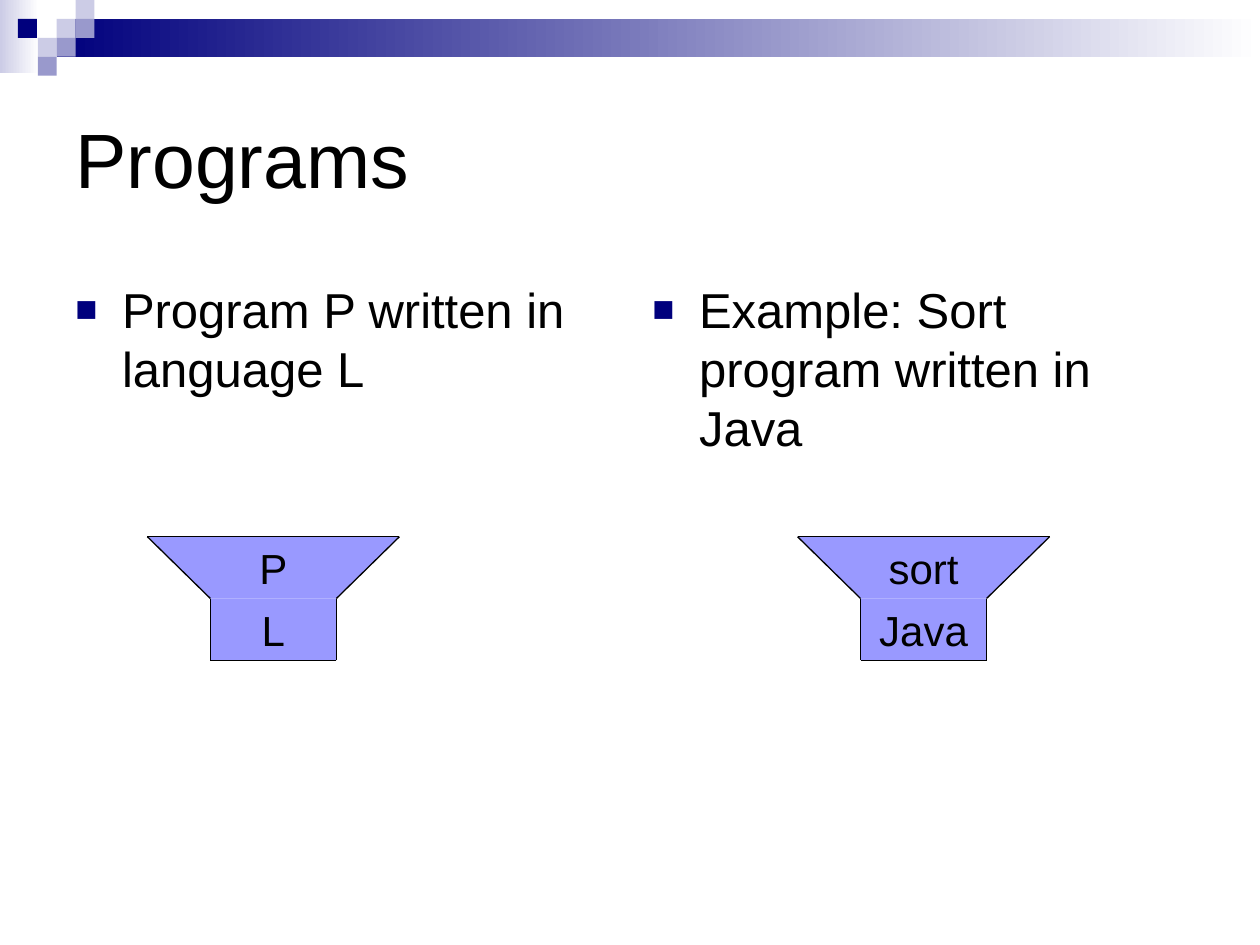
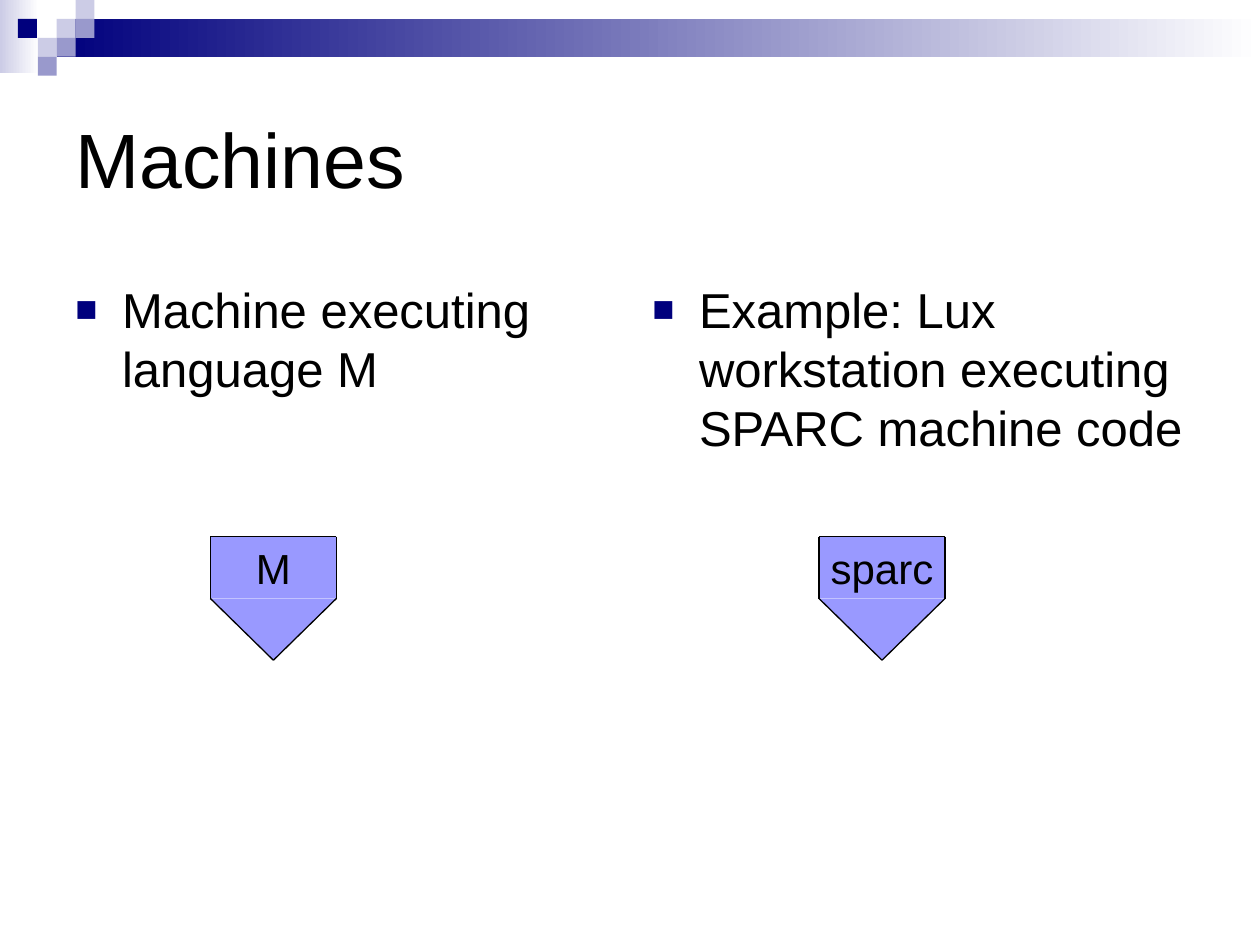
from itertools import pairwise

from lxml.etree import SubElement
from pptx import Presentation
from pptx.dml.color import RGBColor
from pptx.enum.shapes import MSO_CONNECTOR, MSO_SHAPE
from pptx.enum.text import MSO_ANCHOR, PP_ALIGN
from pptx.oxml.ns import qn
from pptx.util import Inches, Pt

FONT = "Arial"
COLORS = {
    "text": "000000",
    "navy": "00007D",
    "pale": "CCCCE6",
    "mid": "9999CC",
    "figure": "9999FF",
    "white": "FFFFFF",
}
TILE = 0.15
# column, row and colour of each header tile, on a grid of TILE
TILES = [
    (3, 1, "pale"), (4, 0, "pale"), (4, 1, "mid"), (2, 2, "pale"),
    (0.95, 1, "navy"), (3, 2, "mid"), (2, 3, "mid"),
]
TOP, HALF = 4.26, 0.49
MID, LOW = TOP + HALF, TOP + 2 * HALF


def color(name):
    return RGBColor.from_string(COLORS[name])


def add_block(shapes, left, top, width, height, fill, fade=False):
    """Add a rectangle without outline; fade runs from the fill to white."""
    block = shapes.add_shape(
        MSO_SHAPE.RECTANGLE, Inches(left), Inches(top), Inches(width), Inches(height))
    block.shadow.inherit = False
    block.line.fill.background()
    if fade:
        block.fill.gradient()
        block.fill.gradient_angle = 0
        for stop, name in zip(block.fill.gradient_stops, (fill, "white")):
            stop.color.rgb = color(name)
    else:
        block.fill.solid()
        block.fill.fore_color.rgb = color(fill)


def add_text(shapes, text, left, top, width, height, size, wrap=True):
    box = shapes.add_textbox(Inches(left), Inches(top), Inches(width), Inches(height))
    frame = box.text_frame
    frame.text = text
    frame.word_wrap = wrap
    font = frame.paragraphs[0].runs[0].font
    font.name, font.size, font.color.rgb = FONT, Pt(size), color("text")
    return frame


def add_header(slide):
    shapes = slide.shapes.add_group_shape().shapes
    add_block(shapes, 0, 0, 0.31, 0.58, "pale", fade=True)
    add_block(shapes, 0.45, TILE, 9.55, 2 * TILE, "navy", fade=True)
    for col, row, fill in TILES:
        add_block(shapes, col * TILE, row * TILE, TILE, TILE, fill)


def add_title(slide, text):
    frame = add_text(slide.shapes, text, 0.5, 0.5, 9, 1.5, 44)
    frame.vertical_anchor = MSO_ANCHOR.MIDDLE


def add_bullet(slide, text, left, width):
    para = add_text(slide.shapes, text, left, 2.17, width, 4.25, 28).paragraphs[0]
    para.space_before = Pt(6.9)
    props = para._p.get_or_add_pPr()
    props.set("marL", str(Inches(0.37)))
    props.set("indent", str(-Inches(0.37)))
    tint = SubElement(props, qn("a:buClr"))
    SubElement(tint, qn("a:srgbClr"), val=COLORS["navy"])
    SubElement(props, qn("a:buSzPct"), val="75000")
    SubElement(props, qn("a:buFont"), typeface=FONT)
    SubElement(props, qn("a:buChar"), char="■")


def add_label(shapes, text, left, top):
    """Centre one line on a box of width 1, with a little room at each side."""
    frame = add_text(shapes, text, left - 0.1, top, 1.2, HALF, 24, wrap=False)
    frame.vertical_anchor = MSO_ANCHOR.MIDDLE
    frame.paragraphs[0].alignment = PP_ALIGN.CENTER


def add_area(shapes, points):
    start, *rest = [(Inches(x), Inches(y)) for x, y in points]
    pen = shapes.build_freeform(*start)
    pen.add_line_segments(rest, close=True)
    area = pen.convert_to_shape()
    area.shadow.inherit = False
    area.line.fill.background()
    area.fill.solid()
    area.fill.fore_color.rgb = color("figure")


def add_outline(shapes, points):
    for (x1, y1), (x2, y2) in pairwise(points + points[:1]):
        edge = shapes.add_connector(
            MSO_CONNECTOR.STRAIGHT, Inches(x1), Inches(y1), Inches(x2), Inches(y2))
        edge.line.color.rgb = color("text")
        edge.line.width = Pt(0.75)
        SubElement(edge._element.spPr, qn("a:effectLst"))


def add_program(slide, left, name, lang):
    """Draw a funnel: the program name above the language it is written in."""
    shapes = slide.shapes.add_group_shape().shapes
    right = left + 1
    rim = [(left - 0.5, TOP), (right + 0.5, TOP)]
    add_block(shapes, left, MID, 1, HALF, "figure")
    add_area(shapes, rim + [(right, MID), (left, MID)])
    add_label(shapes, lang, left, MID)
    add_label(shapes, name, left, TOP)
    add_outline(shapes, rim + [(right, MID), (right, LOW), (left, LOW), (left, MID)])


def add_machine(slide, left, lang):
    """Draw a box with a point below: a machine that executes lang."""
    shapes = slide.shapes.add_group_shape().shapes
    right = left + 1
    point = [(right, MID), (left + 0.5, LOW), (left, MID)]
    add_block(shapes, left, TOP, 1, HALF, "figure")
    add_area(shapes, point)
    add_label(shapes, lang, left, TOP)
    add_outline(shapes, [(left, TOP), (right, TOP)] + point)


def add_page(deck, title, rule, case, width=4.42):
    slide = deck.slides.add_slide(deck.slide_layouts[6])
    add_header(slide)
    add_title(slide, title)
    add_bullet(slide, rule, 0.5, 4.42)
    add_bullet(slide, case, 5.08, width)
    return slide


def main():
    deck = Presentation()
    deck.slide_width, deck.slide_height = Inches(10), Inches(7.5)

    slide = add_page(deck, "Programs", "Program P written in language L",
                     "Example: Sort program written in Java")
    add_program(slide, 1.67, "P", "L")
    add_program(slide, 6.83, "sort", "Java")

    slide = add_page(deck, "Machines", "Machine executing language M",
                     "Example: Lux workstation executing SPARC machine code", 4.67)
    add_machine(slide, 1.67, "M")
    add_machine(slide, 6.5, "sparc")

    deck.save("out.pptx")


if __name__ == "__main__":
    main()
